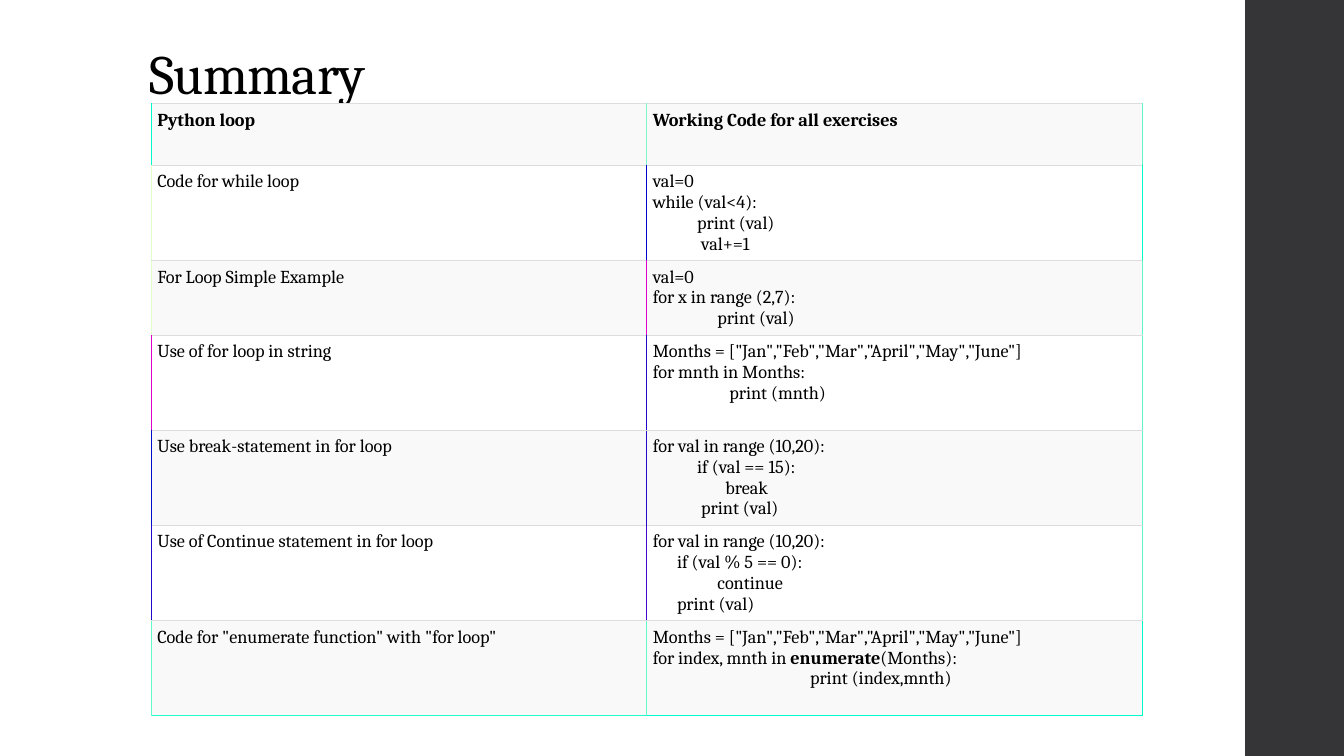
from lxml import etree
from pptx import Presentation
from pptx.dml.color import RGBColor
from pptx.enum.shapes import MSO_SHAPE as SHAPE
from pptx.enum.text import MSO_ANCHOR as ANCHOR, MSO_AUTO_SIZE as FIT, PP_ALIGN as ALIGN
from pptx.oxml.ns import qn
from pptx.util import Inches, Pt

COLORS = {"bar": "353537", "text": "000000", "band": "F9F9F9", "plain": "FFFFFF", "rule": "DDDDDD"}
FONT = "Cambria"
SPACE = 0.04
MONTHS = 'Months = ["Jan","Feb","Mar","April","May","June"]'


def add_run(p, text, size, bold=False):
    r = p.add_run()
    r.text = text
    r.font.name = FONT
    r.font.size = Pt(size)
    r.font.bold = bold
    r.font.color.rgb = RGBColor.from_string(COLORS["text"])
    return r


def add_border(cell, side, color, width):
    ln = etree.SubElement(cell._tc.get_or_add_tcPr(), qn(f"a:ln{side}"), w=str(Pt(width)))
    fill = etree.SubElement(ln, qn("a:solidFill"))
    etree.SubElement(fill, qn("a:srgbClr"), val=color)


prs = Presentation()
prs.slide_width = Inches(13.33)
prs.slide_height = Inches(7.5)
s = prs.slides.add_slide(prs.slide_layouts[5])

title = s.shapes.title
title.left, title.top = Inches(1.38), Inches(0.4)
title.width, title.height = Inches(10.6), Inches(0.71)
tf = title.text_frame
tf.auto_size = FIT.NONE
tf.word_wrap = True
tf.vertical_anchor = ANCHOR.BOTTOM
p = tf.paragraphs[0]
p.alignment = ALIGN.LEFT
p.line_spacing = 0.9
r = add_run(p, "Summary", 39.6)
r.font._element.set("spc", "-50")

bar = s.shapes.add_shape(SHAPE.RECTANGLE, Inches(12.35), 0, Inches(0.98), Inches(7.5))
bar.shadow.inherit = False
bar.fill.solid()
bar.fill.fore_color.rgb = RGBColor.from_string(COLORS["bar"])
bar.line.fill.background()

# height, label, code lines as (indent in spaces, text), left, middle and right border
rows = [
    (0.61, "Python loop", [(0, "Working Code for all exercises")], ("00FBCA", "80F8CA", "60F6CA")),
    (0.92, "Code for while loop",
     [(0, "val=0"), (0, "while (val<4):"), (11, "print (val)"), (12, "val+=1")],
     ("E0FFCA", "0002CB", "00FBCA")),
    (0.72, "For Loop Simple Example",
     [(0, "val=0"), (0, "for x in range (2,7):"), (16, "print (val)")],
     ("E0FFCA", "E000CB", "60F6CA")),
    (0.94, "Use of for loop in string",
     [(0, MONTHS), (0, "for mnth in Months:"), (19, "print (mnth)")],
     ("E000CB", "2008CB", "60F6CA")),
    (0.92, "Use break-statement in for loop",
     [(0, "for val in range (10,20):"), (11, "if (val == 15):"), (18, "break"), (12, "print (val)")],
     ("000DCB", "2008CB", "60F6CA")),
    (0.92, "Use of Continue statement in for loop",
     [(0, "for val in range (10,20):"), (6, "if (val % 5 == 0):"), (16, "continue"), (6, "print (val)")],
     ("2008CB", "4006CB", "60F6CA")),
    (0.94, 'Code for "enumerate function" with "for loop"',
     [(0, MONTHS), (0, "for index, mnth in *enumerate*(Months):"), (39, "print (index,mnth)")],
     ("60FDCA", "60FDCA", "00FACA")),
]
last = len(rows) - 1

table = s.shapes.add_table(len(rows), 2, Inches(1.5), Inches(1.03), Inches(9.83), Inches(5.97)).table
for column in table.columns:
    column.width = Inches(4.915)

for i, (height, label, code, sides) in enumerate(rows):
    table.rows[i].height = Inches(height)
    for j, lines in enumerate([[(0, label)], code]):
        cell = table.cell(i, j)
        cell.margin_left = cell.margin_right = Inches(0.06)
        cell.margin_top = cell.margin_bottom = Inches(0.06)
        add_border(cell, "L", sides[j], 1)
        add_border(cell, "R", sides[j + 1], 1)
        add_border(cell, "T", COLORS["rule"], 0.75)
        if i == last:
            add_border(cell, "B", ("20FDCA", "00FBCA")[j], 1)
        else:
            add_border(cell, "B", COLORS["rule"], 0.75)
        cell.fill.solid()
        cell.fill.fore_color.rgb = RGBColor.from_string(COLORS["plain" if i % 2 else "band"])
        tf = cell.text_frame
        for n, (indent, line) in enumerate(lines):
            p = tf.add_paragraph() if n else tf.paragraphs[0]
            pPr = p._p.get_or_add_pPr()
            pPr.set("marL", str(Inches(indent * SPACE)))
            pPr.set("indent", "0")
            for k, text in enumerate(line.split("*")):
                add_run(p, text, 13, i == 0 or k == 1)

prs.save("out.pptx")
